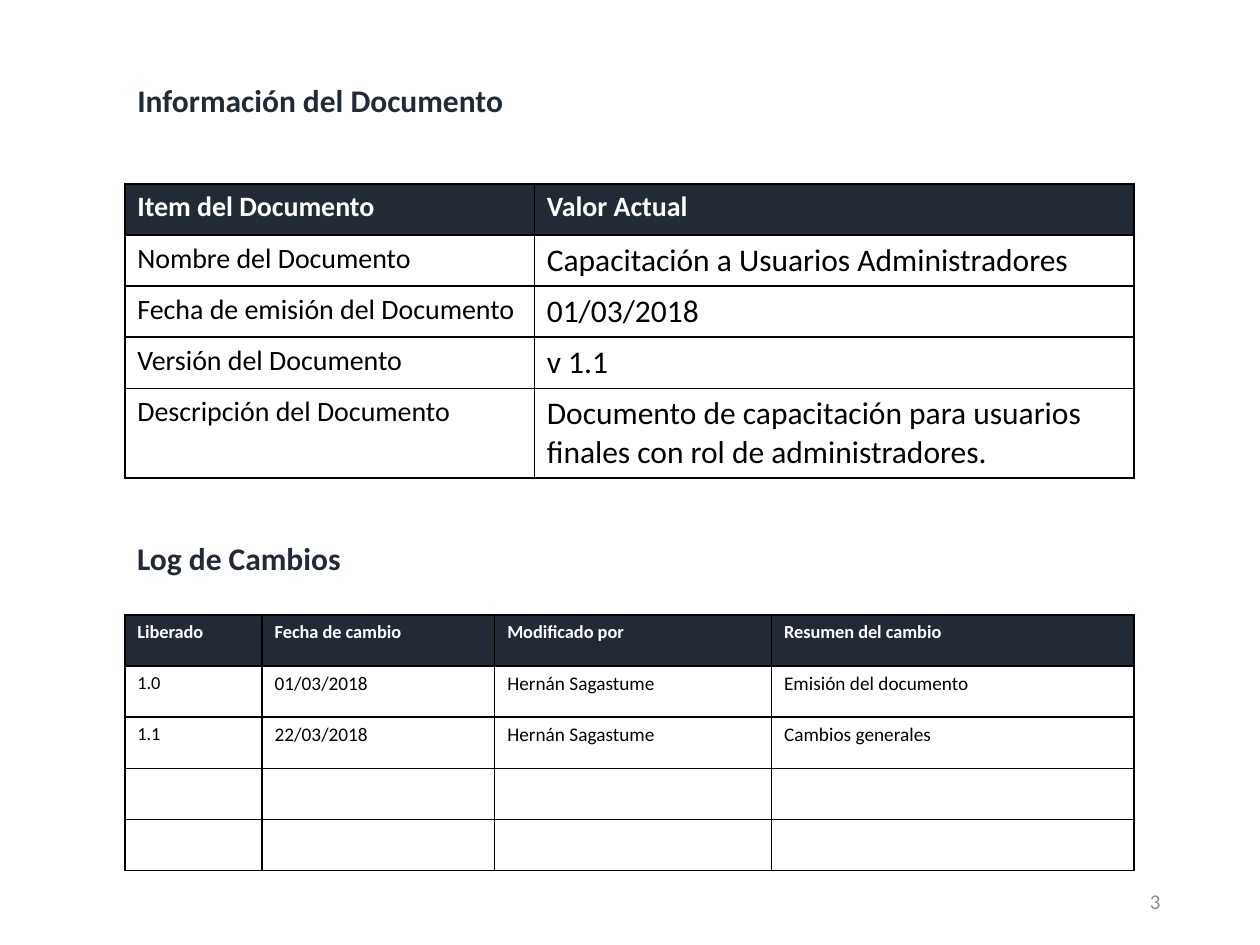
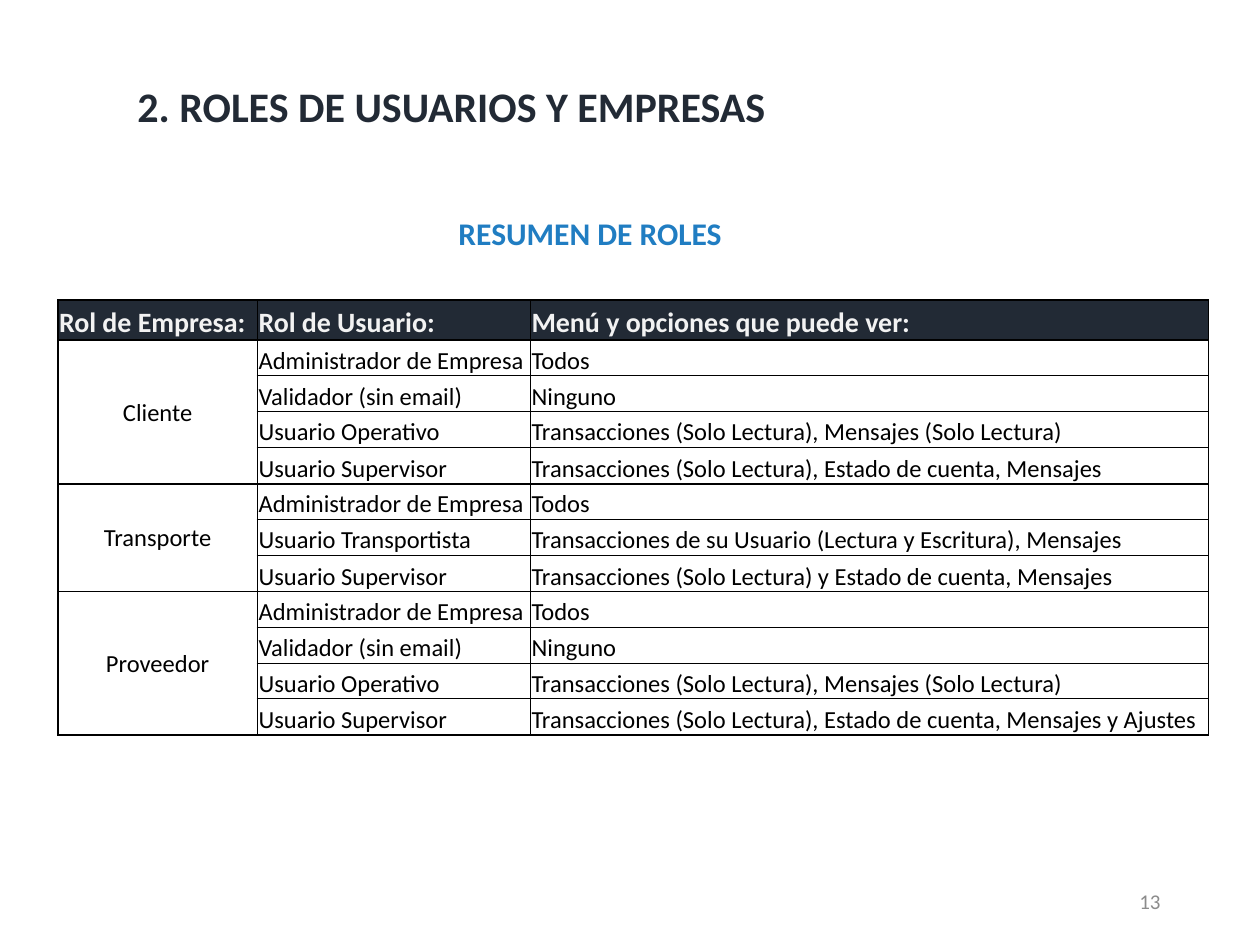
from dataclasses import dataclass, field
from typing import Any, Optional

from lxml.etree import SubElement
from pptx import Presentation
from pptx.dml.color import RGBColor
from pptx.enum.text import MSO_ANCHOR as Anchor, MSO_AUTO_SIZE as AutoSize, PP_ALIGN as Align
from pptx.oxml.ns import qn
from pptx.util import Pt

FONT = "Calibri"
NAVY = RGBColor(0x22, 0x2A, 0x35)
BLUE = RGBColor(0x20, 0x7D, 0xC2)
GREY = RGBColor(0x8C, 0x8C, 0x8C)
PALE = RGBColor(0xF2, 0xF2, 0xF2)
BLACK = RGBColor(0, 0, 0)
WHITE = RGBColor(0xFF, 0xFF, 0xFF)

TITLE_ONLY = 5
MARGIN_LEFT = 71.3
TITLE_TOP = 42.5
LINE_SIDES = ("lnL", "lnR", "lnT", "lnB")
DOCUMENT_ROW = 29.2
ROLE_HEADER_ROW, ROLE_ROW, ROLE_LAST_ROW = 23, 20.4, 20.9
TIGHT = {"margin_left": Pt(0.7), "margin_right": Pt(0.7),
         "margin_top": Pt(0.7), "margin_bottom": Pt(0)}


@dataclass(frozen=True)
class TextStyle:
    size: float
    color: RGBColor = BLACK
    bold: bool = False
    align: Align = Align.LEFT


@dataclass(frozen=True)
class Label:
    text: str
    left: float
    top: float
    width: float
    height: float
    style: TextStyle
    anchor: Anchor = Anchor.TOP


@dataclass(frozen=True)
class CellFormat:
    style: TextStyle
    fill: Optional[RGBColor] = None
    frame: dict[str, Any] = field(default_factory=dict)
    lines: tuple[float, float, float, float] = (1, 1, 1, 1)


@dataclass(frozen=True)
class DocumentTable:
    top: float
    columns: tuple[float, ...]
    header_size: float
    column_sizes: tuple[float, ...]
    rows: tuple[tuple[str, ...], ...]


DOCUMENT_INFO = DocumentTable(
    105.1, (234, 342.7), 16, (16, 18),
    (("Item del Documento", "Valor Actual"),
     ("Nombre del Documento", "Capacitación a Usuarios Administradores"),
     ("Fecha de emisión del Documento", "01/03/2018"),
     ("Versión del Documento", "v 1.1"),
     ("Descripción del Documento",
      "Documento de capacitación para usuarios finales con rol de administradores.")))
CHANGE_LOG = DocumentTable(
    351.4, (78.5, 132.9, 158.2, 207.1), 10.5, (10.5, 11, 11, 11),
    (("Liberado", "Fecha de cambio", "Modificado por", "Resumen del cambio"),
     ("1.0", "01/03/2018", "Hernán Sagastume", "Emisión del documento"),
     ("1.1", "22/03/2018", "Hernán Sagastume", "Cambios generales"),
     ("",) * 4,
     ("",) * 4))

ROLE_COLUMNS = (114, 156, 387.5)
ROLE_HEADERS = ("Rol de Empresa:", "Rol de Usuario:", "Menú y opciones que puede ver:")
ADMINISTRATOR = ("Administrador de Empresa", "Todos")
VALIDATOR = ("Validador (sin email)", "Ninguno")
OPERATOR = ("Usuario Operativo", "Transacciones (Solo Lectura), Mensajes (Solo Lectura)")
SUPERVISOR = "Usuario Supervisor"
ROLES_BY_COMPANY = {
    "Cliente": (
        ADMINISTRATOR, VALIDATOR, OPERATOR,
        (SUPERVISOR, "Transacciones (Solo Lectura), Estado de cuenta, Mensajes")),
    "Transporte": (
        ADMINISTRATOR,
        ("Usuario Transportista", "Transacciones de su Usuario (Lectura y Escritura), Mensajes"),
        (SUPERVISOR, "Transacciones (Solo Lectura) y Estado de cuenta, Mensajes")),
    "Proveedor": (
        ADMINISTRATOR, VALIDATOR, OPERATOR,
        (SUPERVISOR, "Transacciones (Solo Lectura), Estado de cuenta, Mensajes y Ajustes")),
}


def apply_values(target: Any, values: dict[str, Any]) -> None:
    for attribute, value in values.items():
        setattr(target, attribute, value)


def write(text_frame: Any, text: str, style: TextStyle) -> None:
    paragraph = text_frame.paragraphs[0]
    paragraph.alignment = style.align
    run = paragraph.add_run()
    run.text = text
    apply_values(run.font, {"name": FONT, "size": Pt(style.size), "bold": style.bold})
    run.font.color.rgb = style.color


def fill_label(shape: Any, label: Label) -> None:
    apply_values(shape, {"left": Pt(label.left), "top": Pt(label.top),
                         "width": Pt(label.width), "height": Pt(label.height)})
    apply_values(shape.text_frame, {"word_wrap": True, "auto_size": AutoSize.NONE,
                                    "vertical_anchor": label.anchor})
    write(shape.text_frame, label.text, label.style)


def add_label(slide: Any, label: Label) -> None:
    fill_label(slide.shapes.add_textbox(0, 0, 0, 0), label)


def add_page(deck: Any, title: Label, number: str) -> Any:
    """Add a slide with its title and page number."""
    slide = deck.slides.add_slide(deck.slide_layouts[TITLE_ONLY])
    fill_label(slide.shapes.title, title)
    add_label(slide, Label(number, 508.3, 500.4, 162, 28.8,
                           TextStyle(12, GREY, align=Align.RIGHT), Anchor.MIDDLE))
    return slide


def add_grid(slide: Any, left: float, top: float,
             columns: tuple[float, ...], rows: list[float]) -> Any:
    """Add an unbanded table with the given column widths and row heights."""
    table = slide.shapes.add_table(len(rows), len(columns), Pt(left), Pt(top),
                                   Pt(sum(columns)), Pt(sum(rows))).table
    apply_values(table, {"first_row": False, "horz_banding": False})
    for column, width in zip(table.columns, columns):
        column.width = Pt(width)
    for row, height in zip(table.rows, rows):
        row.height = Pt(height)
    return table


def draw_borders(cell: Any, widths: tuple[float, ...]) -> None:
    properties = cell._tc.get_or_add_tcPr()
    for position, (side, width) in enumerate(zip(LINE_SIDES, widths)):
        line = SubElement(properties, qn(f"a:{side}"), w=str(Pt(width)))
        SubElement(SubElement(line, qn("a:solidFill")), qn("a:srgbClr"), val=str(BLACK))
        properties.insert(position, line)


def fill_cell(cell: Any, text: str, cell_format: CellFormat) -> None:
    apply_values(cell, cell_format.frame)
    if cell_format.fill is None:
        cell.fill.background()
    else:
        cell.fill.solid()
        cell.fill.fore_color.rgb = cell_format.fill
    draw_borders(cell, cell_format.lines)
    if text:
        write(cell.text_frame, text, cell_format.style)


def add_document_table(slide: Any, content: DocumentTable) -> None:
    table = add_grid(slide, MARGIN_LEFT, content.top, content.columns,
                     [DOCUMENT_ROW] * len(content.rows))
    header = CellFormat(TextStyle(content.header_size, WHITE, True), NAVY)
    body = [CellFormat(TextStyle(size), WHITE) for size in content.column_sizes]
    for r, texts in enumerate(content.rows):
        for c, text in enumerate(texts):
            fill_cell(table.cell(r, c), text, body[c] if r else header)


def add_roles_table(slide: Any) -> None:
    heights = [ROLE_HEADER_ROW]
    for roles in ROLES_BY_COMPANY.values():
        heights += [ROLE_ROW] * (len(roles) - 1) + [ROLE_LAST_ROW]
    table = add_grid(slide, 33.1, 171.4, ROLE_COLUMNS, heights)

    bottom = {**TIGHT, "vertical_anchor": Anchor.BOTTOM}
    middle = {**TIGHT, "vertical_anchor": Anchor.MIDDLE}
    header = CellFormat(TextStyle(16, PALE, True), NAVY, bottom)
    company_format = CellFormat(TextStyle(14, align=Align.CENTER), frame=middle)
    for c, text in enumerate(ROLE_HEADERS):
        fill_cell(table.cell(0, c), text, header)

    first = 1
    for company, roles in ROLES_BY_COMPANY.items():
        last = first + len(roles) - 1
        table.cell(first, 0).merge(table.cell(last, 0))
        for r, role in enumerate(roles, first):
            fill_cell(table.cell(r, 0), company if r == first else "", company_format)
            lines = (1, 1, 1 if r == first else 0.5, 1 if r == last else 0.5)
            role_format = CellFormat(TextStyle(14), frame=bottom, lines=lines)
            for c, text in enumerate(role, 1):
                fill_cell(table.cell(r, c), text, role_format)
        first = last + 1


def build_document_page(deck: Any) -> None:
    heading = TextStyle(18, NAVY, True)
    slide = add_page(deck, Label("Información del Documento", MARGIN_LEFT, TITLE_TOP,
                                 323.3, 29, heading), "3")
    add_document_table(slide, DOCUMENT_INFO)
    add_document_table(slide, CHANGE_LOG)
    add_label(slide, Label("Log de Cambios", MARGIN_LEFT, 304.5, 239.8, 29, heading))


def build_roles_page(deck: Any) -> None:
    slide = add_page(deck, Label("2. ROLES DE USUARIOS Y EMPRESAS", MARGIN_LEFT, TITLE_TOP,
                                 388.8, 36, TextStyle(24, NAVY, True)), "13")
    add_label(slide, Label("RESUMEN DE ROLES", 254.9, 118.8, 203, 29,
                           TextStyle(18, BLUE, True)))
    add_roles_table(slide)


def main() -> None:
    deck = Presentation()
    apply_values(deck, {"slide_width": Pt(720), "slide_height": Pt(540)})
    build_document_page(deck)
    build_roles_page(deck)
    deck.save("out.pptx")


if __name__ == "__main__":
    main()
